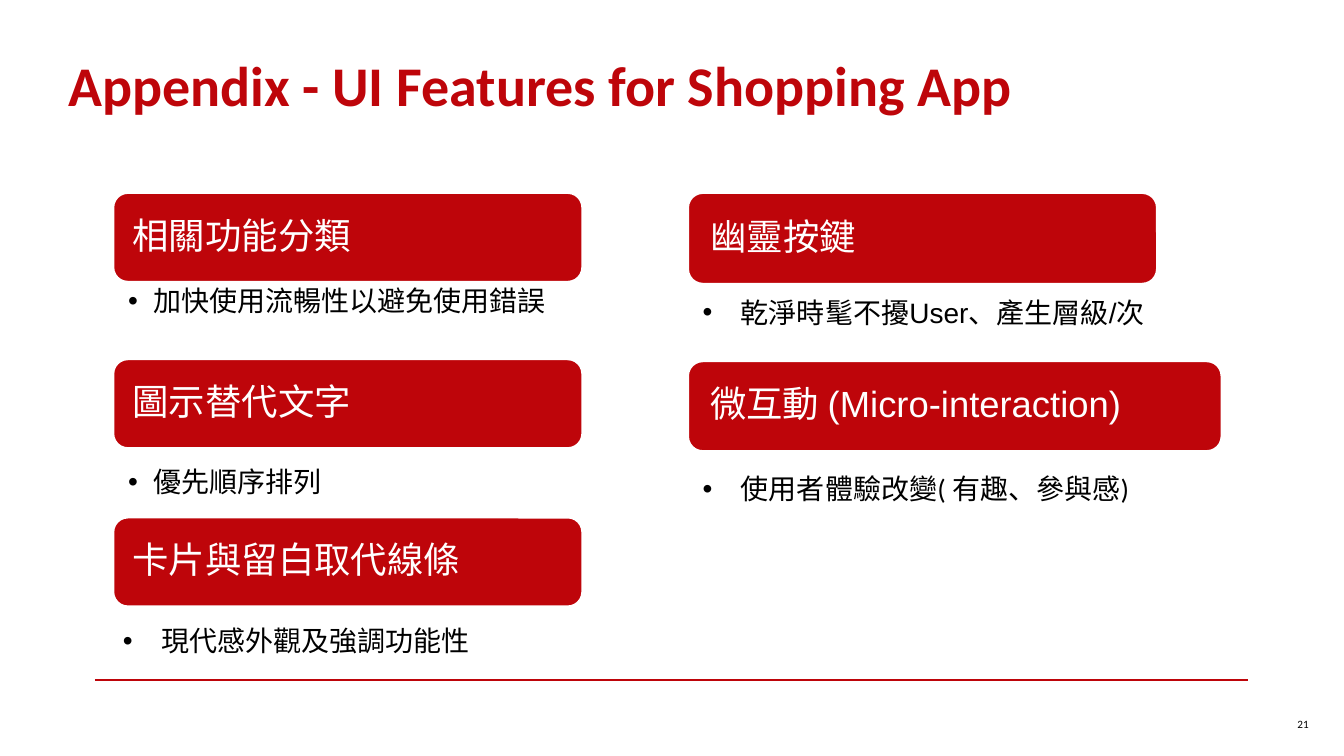
from lxml import etree
from pptx import Presentation
from pptx.dml.color import RGBColor
from pptx.enum.shapes import MSO_CONNECTOR, MSO_SHAPE
from pptx.enum.text import MSO_ANCHOR, MSO_AUTO_SIZE, PP_ALIGN
from pptx.oxml.ns import qn
from pptx.util import Inches, Pt

RED = RGBColor(0xBE, 0x05, 0x0A)
WHITE = RGBColor(0xFF, 0xFF, 0xFF)
BLACK = RGBColor(0, 0, 0)
LEFT, RIGHT = PP_ALIGN.LEFT, PP_ALIGN.RIGHT
MIDDLE, TOP = MSO_ANCHOR.MIDDLE, MSO_ANCHOR.TOP
ROUNDED = MSO_SHAPE.ROUNDED_RECTANGLE
STRAIGHT = MSO_CONNECTOR.STRAIGHT

# Bullet styles: font, hanging indent, left inset and line spacing
TIGHT = ("Arial", 0.25, 0.15, 0.9)
WIDE = ("Arial", 0.38, 0.1, 1.0)
WIDE_CALIBRI = ("Calibri", 0.38, 0.1, 1.0)

# Banner text, banner box, banner inset, note text, note box, note style
FEATURES = [
    ("相關功能分類", (1.12, 1.91, 4.66, 0.89), 0.15,
     "加快使用流暢性以避免使用錯誤", (1.12, 2.8, 4.66, 0.44), TIGHT),
    ("圖示替代文字", (1.12, 3.56, 4.66, 0.89), 0.15,
     "優先順序排列", (1.12, 4.6, 4.66, 0.44), TIGHT),
    ("卡片與留白取代線條", (1.12, 5.13, 4.66, 0.89), 0.15,
     "現代感外觀及強調功能性", (1.12, 6.14, 4.71, 0.44), WIDE_CALIBRI),
    ("幽靈按鍵", (6.82, 1.91, 4.66, 0.91), 0.18,
     "乾淨時髦不擾User、產生層級/次", (6.87, 2.88, 5.62, 0.44), WIDE),
    ("微互動 (Micro-interaction)", (6.82, 3.58, 5.3, 0.9), 0.18,
     "使用者體驗改變( 有趣、參與感)", (6.87, 4.63, 5.88, 0.44), WIDE_CALIBRI),
]


def set_all(target, values):
    for name, value in values.items():
        setattr(target, name, value)


def write(shape, text, size, font, color, anchor=MIDDLE, align=LEFT,
          bold=False, inset=0.1, spacing=1.0, hanging=None):
    frame = shape.text_frame
    set_all(frame, {"word_wrap": True, "auto_size": MSO_AUTO_SIZE.NONE,
                    "vertical_anchor": anchor,
                    "margin_left": Inches(inset), "margin_right": Inches(0.1),
                    "margin_top": Inches(0.05), "margin_bottom": Inches(0.05)})
    para = frame.paragraphs[0]
    set_all(para, {"alignment": align, "line_spacing": spacing})
    if hanging:
        add_bullet(para, hanging)
    span = para.add_run()
    span.text = text
    set_all(span.font, {"size": Pt(size), "name": font, "bold": bold})
    span.font.color.rgb = color


def add_bullet(para, hanging):
    props = para._p.get_or_add_pPr()
    props.set("marL", str(Inches(hanging)))
    props.set("indent", str(-Inches(hanging)))
    etree.SubElement(props, qn("a:buFont")).set("typeface", "Arial")
    etree.SubElement(props, qn("a:buChar")).set("char", "•")


def add_title(page, box):
    title = page.shapes.title
    set_all(title, dict(zip(("left", "top", "width", "height"),
                            map(Inches, box))))
    write(title, "Appendix - UI Features for Shopping App", 40, "Calibri",
          RED, bold=True)


def add_banner(page, text, box, inset):
    banner = page.shapes.add_shape(ROUNDED, *map(Inches, box))
    banner.shadow.inherit = False
    banner.fill.solid()
    banner.fill.fore_color.rgb = RED
    banner.line.color.rgb = WHITE
    banner.line.width = Pt(2)
    write(banner, text, 26, "Arial", WHITE, inset=inset, spacing=0.9)


def add_note(page, text, box, style):
    font, hanging, inset, spacing = style
    note = page.shapes.add_textbox(*map(Inches, box))
    write(note, text, 20, font, BLACK, anchor=TOP, inset=inset,
          spacing=spacing, hanging=hanging)


def add_footer(page, left, right, top):
    rule = page.shapes.add_connector(STRAIGHT, Inches(left), Inches(top),
                                     Inches(right), Inches(top))
    rule.line.color.rgb = RED
    rule.line.width = Pt(1.5)
    etree.SubElement(rule._element.spPr, qn("a:effectLst"))
    number = page.shapes.add_textbox(Inches(right - 0.86), Inches(top + 0.22),
                                     Inches(1.56), Inches(0.42))
    write(number, "21", 8, "Calibri", BLACK, align=RIGHT)


def main():
    deck = Presentation()
    set_all(deck, {"slide_width": Inches(13.33), "slide_height": Inches(7.5)})
    page = deck.slides.add_slide(deck.slide_layouts[5])
    add_footer(page, 0.94, 12.38, 6.75)
    add_title(page, (0.58, 0.52, 11.22, 0.63))
    # Each feature is a red banner with a bulleted note below it
    for heading, banner_box, inset, text, note_box, style in FEATURES:
        add_banner(page, heading, banner_box, inset)
        add_note(page, text, note_box, style)
    deck.save("out.pptx")


if __name__ == "__main__":
    main()
